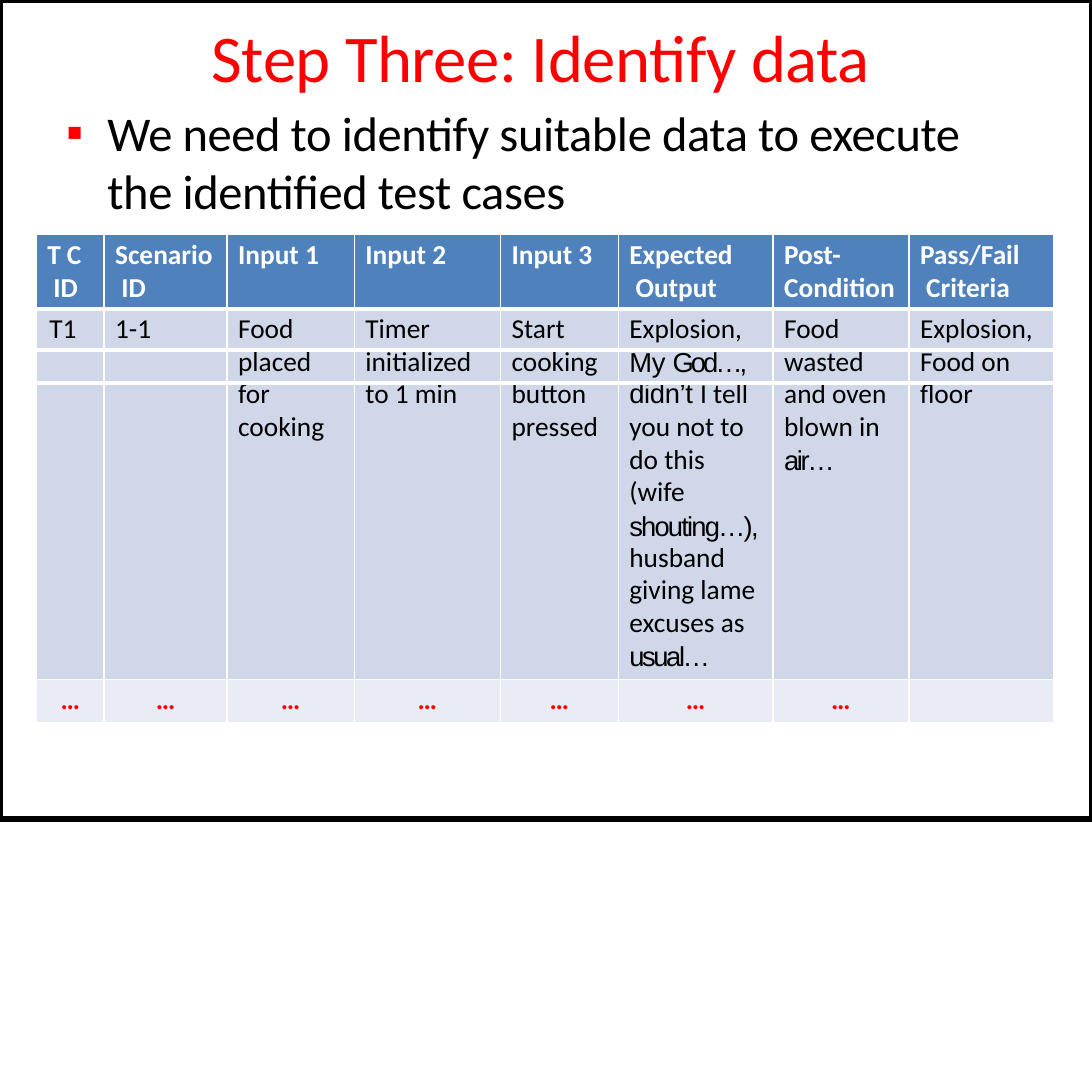
from itertools import zip_longest

from lxml import etree
from pptx import Presentation
from pptx import util as u
from pptx.dml import color as dml
from pptx.enum import shapes, text
from pptx.oxml import ns

RED, BLACK, WHITE = "FF0000", "000000", "FFFFFF"
HEADER_BLUE, CASE_BLUE, MORE_BLUE = "4F81BC", "D0D7E8", "E9ECF4"
NO_STYLE = "{2D5ABB26-0587-4C30-8999-92F81FD0307C}"

WIDTHS = [0.79, 1.43, 1.48, 1.7, 1.37, 1.8, 1.58, 1.69]
HEIGHTS = [0.87, 0.48] + [0.38] * 9 + [0.41, 0.5]
HEADINGS = ["T C\n ID", "Scenario\n ID", "Input 1", "Input 2", "Input 3",
            "Expected\n Output", "Post-\nCondition", "Pass/Fail\n Criteria"]
TEST_CASE = [
    ["T1"],
    ["1-1"],
    ["Food", "placed", "for", "cooking"],
    ["Timer", "initialized", "to 1 min"],
    ["Start", "cooking", "button", "pressed"],
    ["Explosion,", "My |God…,", "didn’t |I tell", "you not to", "do this", "(wife",
     "shouting…),", "husband", "giving lame", "excuses as", "usual…"],
    ["Food", "wasted", "and oven", "blown in", "air…"],
    ["Explosion,", "Food on", "floor"],
]
ARIAL_SPACING = {"My ": -0.1, "God…,": -1, "didn’t ": -0.1, "air…": -0.8,
                 "shouting…),": -0.6, "usual…": -0.8}


def rgb(value):
    """Turn a hex string into a colour."""
    return dml.RGBColor.from_string(value)


def write(paragraph, words, size=9, color=BLACK, font="Calibri", bold=False, spacing=0):
    """Add formatted words to a paragraph, breaking lines at newlines."""
    for number, line in enumerate(words.split("\n")):
        if number:
            paragraph.add_line_break()
        run = paragraph.add_run()
        run.text = line
        run.font.size = u.Pt(size)
        run.font.name = font
        run.font.bold = bold
        run.font.color.rgb = rgb(color)
        run._r.get_or_add_rPr().set("spc", str(round(spacing * 100)))


def clear_margins(frame):
    """Remove the margins of a text frame and wrap its text at the top."""
    frame.margin_left = frame.margin_right = frame.margin_bottom = 0
    frame.margin_top = u.Cm(0.03)
    frame.word_wrap = True
    frame.auto_size = text.MSO_AUTO_SIZE.NONE
    frame.vertical_anchor = text.MSO_ANCHOR.TOP


def add_heading(slide, left, top, width, height):
    """Place the slide title in its box."""
    title = slide.shapes.title
    title.left, title.top, title.width, title.height = map(u.Cm, (left, top, width, height))
    clear_margins(title.text_frame)
    paragraph = title.text_frame.paragraphs[0]
    paragraph.alignment = text.PP_ALIGN.LEFT
    paragraph.space_before = u.Pt(0.9)
    write(paragraph, "Step Three: Identify data", size=22, color=RED, spacing=-0.1)


def add_statement(slide, left, top, width, height):
    """Place the bulleted statement in its box."""
    statement = slide.shapes.add_textbox(*map(u.Cm, (left, top, width, height)))
    clear_margins(statement.text_frame)
    paragraph = statement.text_frame.paragraphs[0]
    paragraph.space_before = u.Pt(0.9)
    write(paragraph, "We need to identify suitable data to execute the identified test cases",
          size=16, spacing=-0.1)
    properties = paragraph._p.get_or_add_pPr()
    properties.set("marL", str(u.Cm(0.51)))
    properties.set("indent", str(u.Cm(-0.48)))
    bullet_color = etree.SubElement(properties, ns.qn("a:buClr"))
    etree.SubElement(bullet_color, ns.qn("a:srgbClr"), val=RED)
    etree.SubElement(properties, ns.qn("a:buFont"), typeface="Arial")
    etree.SubElement(properties, ns.qn("a:buChar"), char="▪")


def style_cell(cell, fill, above=None, below=None):
    """Fill a cell and draw its white borders, with widths in points."""
    cell.fill.solid()
    cell.fill.fore_color.rgb = rgb(fill)
    properties = cell._tc.get_or_add_tcPr()
    borders = [("L", 0.5), ("R", 0.5), ("T", above), ("B", below)]
    drawn = [(side, width) for side, width in borders if width]
    for place, (side, width) in enumerate(drawn):
        line = etree.Element(ns.qn(f"a:ln{side}"), w=str(u.Pt(width)))
        line_fill = etree.SubElement(line, ns.qn("a:solidFill"))
        etree.SubElement(line_fill, ns.qn("a:srgbClr"), val=WHITE)
        properties.insert(place, line)


def fill_cell(cell, words, margins, align=text.PP_ALIGN.LEFT, before=None, pitch=None, **style):
    """Write words in a cell, using Arial for its tightly spaced parts."""
    cell.margin_left, cell.margin_right, cell.margin_top = map(u.Cm, margins)
    cell.margin_bottom = 0
    paragraph = cell.text_frame.paragraphs[0]
    paragraph.alignment = align
    if before:
        paragraph.space_before = u.Pt(before)
    if pitch:
        paragraph.line_spacing = u.Pt(pitch)
    for part in filter(None, words.split("|")):
        font = "Arial" if part in ARIAL_SPACING else "Calibri"
        write(paragraph, part, font=font, spacing=ARIAL_SPACING.get(part, 0), **style)
    if not words:
        etree.SubElement(paragraph._p, ns.qn("a:endParaRPr"), sz="600")


def add_test_cases(slide, left, top):
    """Place the table of test cases with its top left corner at a point."""
    box = map(u.Cm, (left, top, sum(WIDTHS), sum(HEIGHTS)))
    table = slide.shapes.add_table(len(HEIGHTS), len(WIDTHS), *box).table
    table.horz_banding = False
    table._tbl.tblPr.find(ns.qn("a:tableStyleId")).text = NO_STYLE
    for column, width in zip(table.columns, WIDTHS):
        column.width = u.Cm(width)
    for row, height in zip(table.rows, HEIGHTS):
        row.height = u.Cm(height)

    for cell, heading in zip(table.rows[0].cells, HEADINGS):
        style_cell(cell, HEADER_BLUE, above=0.5, below=1.5)
        fill_cell(cell, heading, (0.13, 0, 0.05), before=1.2, color=WHITE, bold=True)

    case_rows = list(zip_longest(*TEST_CASE, fillvalue=""))
    for number, lines in enumerate(case_rows, start=1):
        first, last = number == 1, number == len(case_rows)
        for column, (cell, line) in enumerate(zip(table.rows[number].cells, lines)):
            style_cell(cell, CASE_BLUE, above=1.5 if number <= 2 else None,
                       below=1.5 if first else 0.5 if last else None)
            if first and column == 0:
                fill_cell(cell, line, (0, 0.32, 0.05), text.PP_ALIGN.RIGHT, before=1.2)
            elif first:
                fill_cell(cell, line, (0.13, 0, 0.05), before=1.2)
            else:
                fill_cell(cell, line, (0.13, 0, 0), pitch=9.4)

    for column, cell in enumerate(table.rows[len(HEIGHTS) - 1].cells):
        style_cell(cell, MORE_BLUE, above=0.5, below=0.5)
        words = "…" if column < len(WIDTHS) - 1 else ""
        right, align = (0, text.PP_ALIGN.CENTER) if column else (0.28, text.PP_ALIGN.RIGHT)
        fill_cell(cell, words, (0, right, 0.05), align, before=1.2, color=RED, bold=True)


def add_border(slide, left, top, width, height):
    """Outline the used part of the slide."""
    border = slide.shapes.add_shape(shapes.MSO_SHAPE.RECTANGLE,
                                    *map(u.Cm, (left, top, width, height)))
    border.shadow.inherit = False
    border.fill.background()
    border.line.color.rgb = rgb(BLACK)
    border.line.width = u.Pt(1.92)


def main():
    """Build and save the slide."""
    deck = Presentation()
    deck.slide_width = deck.slide_height = u.Cm(12.7)
    slide = deck.slides.add_slide(deck.slide_layouts.get_by_name("Title Only"))
    add_heading(slide, 2.46, 0.15, 7.85, 1)
    add_statement(slide, 0.74, 1.17, 10.67, 1.42)
    add_test_cases(slide, 0.42, 2.72)
    add_border(slide, 0, 0, 12.7, 9.53)
    deck.save("out.pptx")


if __name__ == "__main__":
    main()
